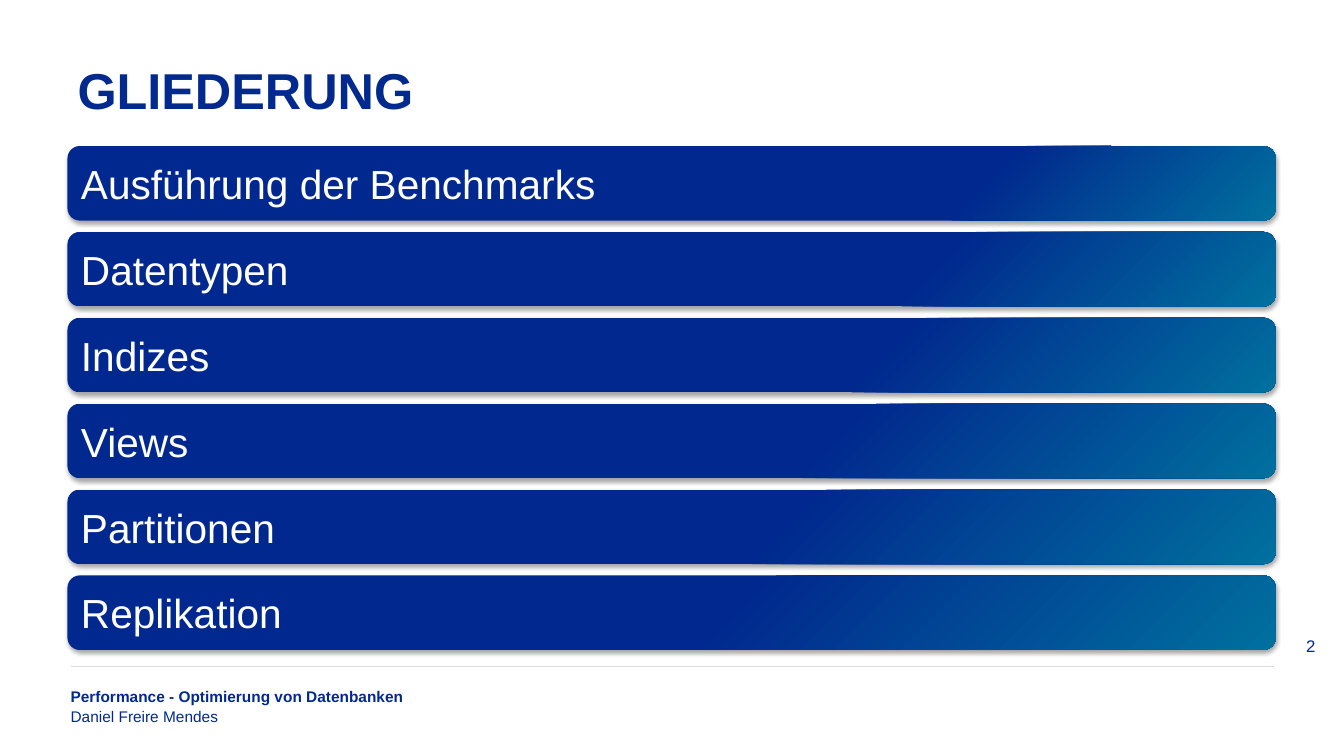
from dataclasses import dataclass

from lxml.etree import SubElement
from pptx import Presentation
from pptx.dml.color import RGBColor as RGB
from pptx.enum.shapes import MSO_CONNECTOR as CONNECTOR, MSO_SHAPE as SHAPE
from pptx.enum.text import MSO_ANCHOR as ANCHOR, MSO_AUTO_SIZE as FIT, PP_ALIGN as ALIGN
from pptx.oxml import parse_xml
from pptx.oxml.ns import nsdecls, qn
from pptx.util import Cm, Pt


@dataclass(frozen=True)
class Theme:
    font: str = "Arial"
    heading: RGB = RGB.from_string("02298E")
    navy: RGB = RGB.from_string("01288E")
    teal: RGB = RGB.from_string("00709E")
    white: RGB = RGB.from_string("FFFFFF")
    rule: RGB = RGB.from_string("D9D9D9")
    title_size: int = 36
    bar_size: int = 29
    number_size: int = 12
    footer_size: int = 11


THEME = Theme()
TOPICS = ["Ausführung der Benchmarks", "Datentypen", "Indizes",
          "Views", "Partitionen", "Replikation"]
BAR_LEFT, BAR_WIDTH, BAR_HEIGHT = 1.7, 30.45, 1.88
FIRST_TOP, LAST_TOP = 3.68, 14.5
NO_INSETS = dict.fromkeys(
    ("margin_left", "margin_top", "margin_right", "margin_bottom"), 0)


def set_attrs(obj, values):
    for name, value in values.items():
        setattr(obj, name, value)


def write(sp, text, size, color, bold=False, align=ALIGN.LEFT,
          anchor=ANCHOR.MIDDLE, **frame):
    tf = sp.text_frame
    set_attrs(tf, {"word_wrap": True, "auto_size": FIT.NONE,
                   "vertical_anchor": anchor, **frame})
    p = tf.paragraphs[0]
    p.alignment = align
    r = p.add_run()
    r.text = text
    set_attrs(r.font, {"name": THEME.font, "size": Pt(size), "bold": bold})
    r.font.color.rgb = color
    return p


def add_title(slide, text):
    sp = slide.shapes.title
    set_attrs(sp, {"left": Cm(BAR_LEFT), "top": Cm(1.02),
                   "width": Cm(BAR_WIDTH), "height": Cm(2.67)})
    p = write(sp, text, THEME.title_size, THEME.heading, bold=True)
    p.line_spacing = 0.9


def add_text(slide, box, text, size, color, **style):
    sp = slide.shapes.add_textbox(*map(Cm, box))
    write(sp, text, size, color, **style)


def add_rule(slide, left, right, y):
    line = slide.shapes.add_connector(
        CONNECTOR.STRAIGHT, Cm(left), Cm(y), Cm(right), Cm(y))
    line.line.color.rgb = THEME.rule
    line.line.width = Pt(0.25)
    SubElement(line._element.spPr, qn("a:effectLst"))


def fill_radial(sp, reach):
    """Blend teal into navy outwards from the lower right corner."""
    sp.fill.gradient()
    stops = zip(sp.fill.gradient_stops, (0, reach), (THEME.teal, THEME.navy))
    for stop, position, color in stops:
        stop.position = position
        stop.color.rgb = color
    linear = sp._element.spPr.find(".//" + qn("a:lin"))
    linear.getparent().replace(linear, parse_xml(
        f'<a:path {nsdecls("a")} path="circle">'
        '<a:fillToRect l="100000" t="100000"/></a:path>'))


def add_shadow(sp):
    sp.shadow.inherit = False
    effects = sp._element.spPr.find(qn("a:effectLst"))
    effects.append(parse_xml(
        f'<a:outerShdw {nsdecls("a")} blurRad="{Pt(3.1)}" dist="{Pt(1.8)}" '
        'dir="5400000" algn="ctr" rotWithShape="0">'
        '<a:srgbClr val="000000"><a:alpha val="35000"/></a:srgbClr>'
        '</a:outerShdw>'))


def add_bar(slide, top, text, reach):
    sp = slide.shapes.add_shape(SHAPE.ROUNDED_RECTANGLE, Cm(BAR_LEFT), Cm(top),
                                Cm(BAR_WIDTH), Cm(BAR_HEIGHT))
    fill_radial(sp, reach)
    sp.line.fill.background()
    add_shadow(sp)
    write(sp, text, THEME.bar_size, THEME.white)


def main():
    prs = Presentation()
    set_attrs(prs, {"slide_width": Cm(33.87), "slide_height": Cm(19.05)})
    slide = prs.slides.add_slide(prs.slide_layouts.get_by_name("Title Only"))

    # Footer and slide number
    add_rule(slide, 1.78, 32.11, 16.79)
    footer = {"anchor": ANCHOR.TOP, **NO_INSETS}
    add_text(slide, (1.78, 17.32, 21.6, 0.51),
             "Performance - Optimierung von Datenbanken",
             THEME.footer_size, THEME.heading, bold=True, **footer)
    add_text(slide, (1.78, 17.83, 21.6, 0.48), "Daniel Freire Mendes",
             THEME.footer_size, THEME.heading, **footer)
    add_text(slide, (25.5, 15.77, 7.9, 1.02), "2",
             THEME.number_size, THEME.navy, align=ALIGN.RIGHT)

    # Title and agenda bars, each with a wider glow than the one above
    add_title(slide, "GLIEDERUNG")
    pitch = (LAST_TOP - FIRST_TOP) / (len(TOPICS) - 1)
    for i, topic in enumerate(TOPICS):
        add_bar(slide, FIRST_TOP + i * pitch, topic, 0.26 + 0.04 * i)

    prs.save("out.pptx")


if __name__ == "__main__":
    main()
